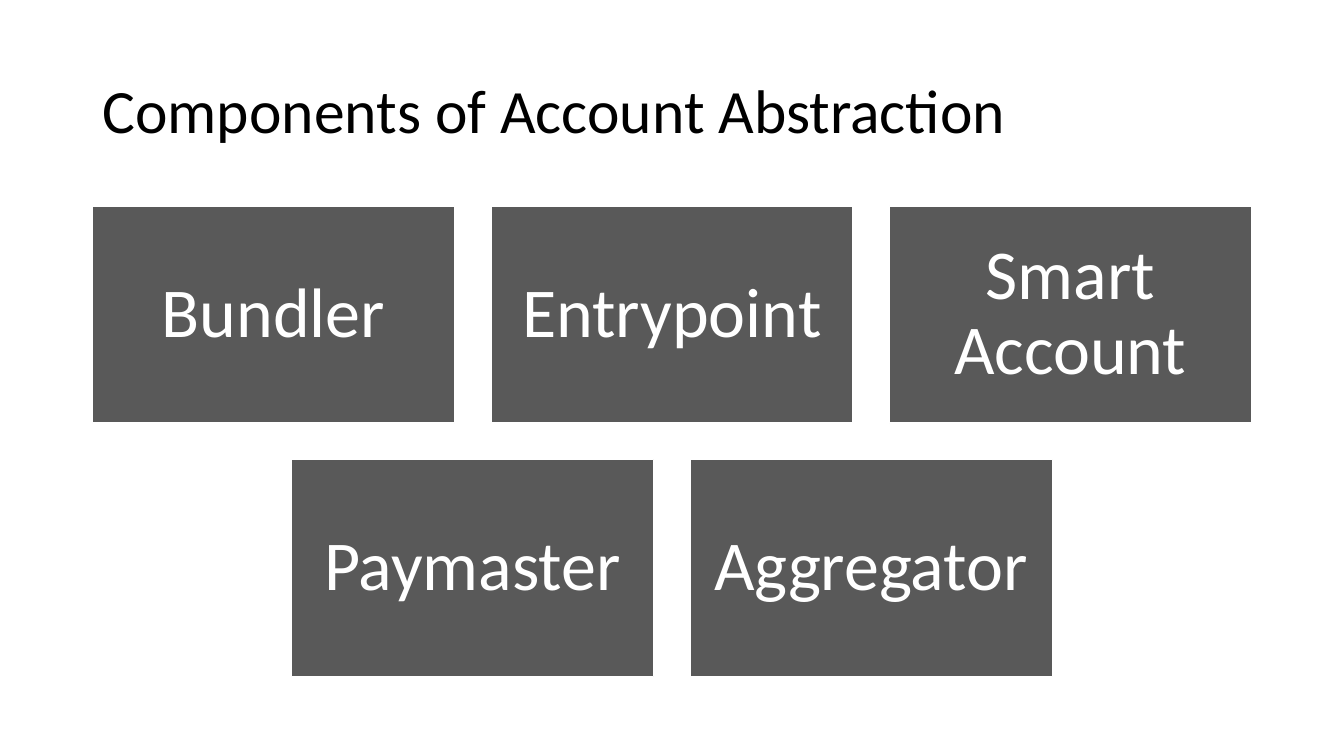
from dataclasses import dataclass

from pptx import Presentation
from pptx.dml.color import RGBColor
from pptx.enum.shapes import MSO_SHAPE
from pptx.enum.text import MSO_ANCHOR, PP_ALIGN
from pptx.util import Pt

RECTANGLE = MSO_SHAPE.RECTANGLE
MIDDLE = MSO_ANCHOR.MIDDLE
LEFT = PP_ALIGN.LEFT
CENTER = PP_ALIGN.CENTER

SLIDE_WIDTH, SLIDE_HEIGHT = 960, 540
TITLE_ONLY = 5


@dataclass(frozen=True)
class Theme:
    font: str = "Calibri"
    ink: RGBColor = RGBColor(0x00, 0x00, 0x00)
    card: RGBColor = RGBColor(0x59, 0x59, 0x59)
    paper: RGBColor = RGBColor(0xFF, 0xFF, 0xFF)
    title_size: int = 44
    card_size: int = 50
    line_spacing: float = 0.9


class SlideBuilder:
    def __init__(self, slide, theme):
        self.slide = slide
        self.theme = theme

    def add_wording(self, frame, wording, size, color, align):
        frame.word_wrap = True
        frame.vertical_anchor = MIDDLE
        paragraph = frame.paragraphs[0]
        paragraph.alignment = align
        paragraph.line_spacing = self.theme.line_spacing
        run = paragraph.add_run()
        run.text = wording
        run.font.name = self.theme.font
        run.font.size = Pt(size)
        run.font.color.rgb = color

    def title(self, wording, left, top, width, height):
        heading = self.slide.shapes.title
        heading.left, heading.top = Pt(left), Pt(top)
        heading.width, heading.height = Pt(width), Pt(height)
        self.add_wording(heading.text_frame, wording, self.theme.title_size, self.theme.ink, LEFT)

    def card(self, wording, left, top, width, height, inset=15):
        card = self.slide.shapes.add_shape(RECTANGLE, Pt(left), Pt(top), Pt(width), Pt(height))
        card.shadow.inherit = False
        card.fill.solid()
        card.fill.fore_color.rgb = self.theme.card
        card.line.color.rgb = self.theme.paper
        card.line.width = Pt(1)
        frame = card.text_frame
        frame.margin_left = frame.margin_right = Pt(inset)
        frame.margin_top = frame.margin_bottom = Pt(inset)
        self.add_wording(frame, wording, self.theme.card_size, self.theme.paper, CENTER)

    def centered_rows(self, rows, top, width, height, gap):
        for row_index, components in enumerate(rows):
            row_width = len(components) * (width + gap) - gap
            row_left = (SLIDE_WIDTH - row_width) / 2
            row_top = top + row_index * (height + gap)
            for column, component in enumerate(components):
                self.card(component, row_left + column * (width + gap), row_top, width, height)


def main():
    deck = Presentation()
    deck.slide_width, deck.slide_height = Pt(SLIDE_WIDTH), Pt(SLIDE_HEIGHT)
    slide = deck.slides.add_slide(deck.slide_layouts[TITLE_ONLY])
    builder = SlideBuilder(slide, Theme())
    builder.title("Components of Account Abstraction", 66, 28.75, 828, 104.4)
    component_rows = [
        ["Bundler", "Entrypoint", "Smart Account"],
        ["Paymaster", "Aggregator"],
    ]
    builder.centered_rows(component_rows, top=147, width=258.75, height=155.25, gap=25.87)
    deck.save("out.pptx")


if __name__ == "__main__":
    main()
